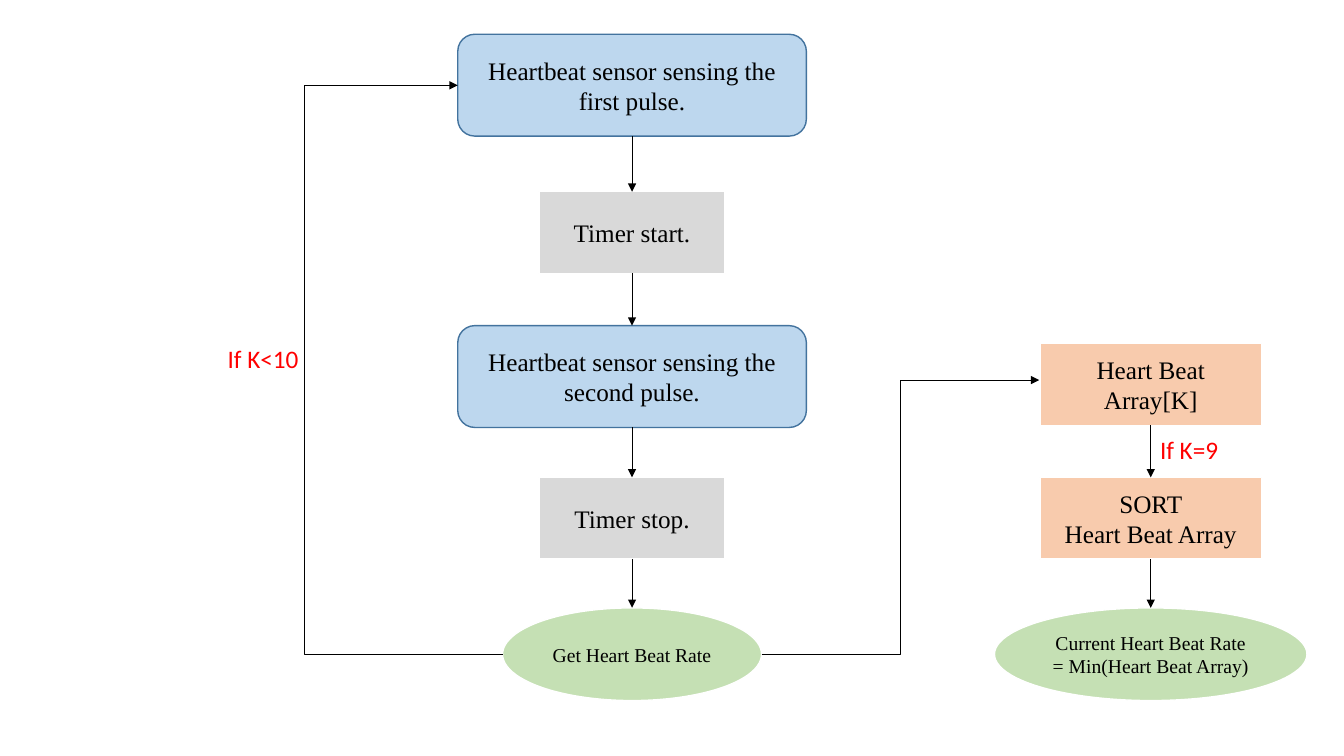
from lxml.etree import SubElement
from pptx import Presentation
from pptx.dml.color import RGBColor
from pptx.enum.shapes import MSO_CONNECTOR as Connector, MSO_SHAPE as Shape
from pptx.enum.text import MSO_ANCHOR as Anchor, PP_ALIGN as Align
from pptx.oxml.ns import qn
from pptx.util import Pt

BLACK = RGBColor(0x00, 0x00, 0x00)
WHITE = RGBColor(0xFF, 0xFF, 0xFF)
RED = RGBColor(0xFF, 0x00, 0x00)
BLUE = RGBColor(0xBD, 0xD7, 0xEE)
DARK_BLUE = RGBColor(0x43, 0x73, 0x9E)
GRAY = RGBColor(0xD9, 0xD9, 0xD9)
ORANGE = RGBColor(0xF8, 0xCB, 0xAD)
GREEN = RGBColor(0xC5, 0xE0, 0xB4)

TOP, BOTTOM = 0, 2
PULSE_X, RESULT_X = 451.5, 822


class Flowchart:
    node_font = "Times New Roman"
    label_font = "Calibri"
    text_size = 18
    small_size = 14

    def __init__(self, slide):
        self.slide = slide

    def fill_text(self, frame, lines, name, size, color, align):
        for index, line in enumerate(lines):
            paragraph = frame.add_paragraph() if index else frame.paragraphs[0]
            paragraph.text = line
            paragraph.alignment = align
            paragraph.font.name = name
            paragraph.font.size = Pt(size)
            paragraph.font.color.rgb = color

    def node(self, kind, center, top, width, height, fill, lines, size=text_size, outline=WHITE):
        shape = self.slide.shapes.add_shape(
            kind, Pt(center - width / 2), Pt(top), Pt(width), Pt(height))
        shape.shadow.inherit = False
        shape.fill.solid()
        shape.fill.fore_color.rgb = fill
        shape.line.color.rgb = outline
        shape.line.width = Pt(1)
        shape.text_frame.vertical_anchor = Anchor.MIDDLE
        shape.text_frame.word_wrap = True
        self.fill_text(shape.text_frame, lines, self.node_font, size, BLACK, Align.CENTER)
        return shape

    def sensor(self, top, text):
        return self.node(Shape.ROUNDED_RECTANGLE, PULSE_X, top, 249, 72.7, BLUE, [text],
                         outline=DARK_BLUE)

    def timer(self, top, text):
        return self.node(Shape.RECTANGLE, PULSE_X, top, 133, 58.3, GRAY, [text])

    def array(self, top, lines):
        return self.node(Shape.RECTANGLE, RESULT_X, top, 158.4, 58.3, ORANGE, lines)

    def rate(self, center, width, text):
        return self.node(Shape.OVAL, center, 434.2, width, 66.2, GREEN, [text], self.small_size)

    def label(self, left, top, width, text):
        box = self.slide.shapes.add_textbox(Pt(left), Pt(top), Pt(width), Pt(29))
        box.text_frame.word_wrap = False
        self.fill_text(box.text_frame, [text], self.label_font, self.text_size, RED, Align.LEFT)

    def connector(self, kind, begin, end):
        connector = self.slide.shapes.add_connector(kind, *(Pt(value) for value in begin + end))
        connector.line.color.rgb = BLACK
        connector.line.width = Pt(0.5)
        properties = connector._element.spPr
        SubElement(properties.find(qn("a:ln")), qn("a:tailEnd"), type="triangle")
        SubElement(properties, qn("a:effectLst"))
        return connector

    def arrow(self, upper, lower):
        connector = self.connector(Connector.STRAIGHT, (0, 0), (0, 0))
        connector.begin_connect(upper, BOTTOM)
        connector.end_connect(lower, TOP)

    def elbow(self, begin, end, bend_x):
        connector = self.connector(Connector.ELBOW, begin, end)
        ratio = (bend_x - begin[0]) / (end[0] - begin[0])
        adjustments = connector._element.spPr.find(qn("a:prstGeom")).find(qn("a:avLst"))
        SubElement(adjustments, qn("a:gd"), name="adj1", fmla=f"val {round(ratio * 100000)}")


def main():
    presentation = Presentation()
    presentation.slide_width = Pt(960)
    presentation.slide_height = Pt(540)
    chart = Flowchart(presentation.slides.add_slide(presentation.slide_layouts[6]))

    pulse_steps = [
        chart.sensor(24.5, "Heartbeat sensor sensing the first pulse."),
        chart.timer(137, "Timer start."),
        chart.sensor(232.6, "Heartbeat sensor sensing the second pulse."),
        chart.timer(341, "Timer stop."),
        chart.rate(PULSE_X, 185, "Get Heart Beat Rate"),
    ]
    result_steps = [
        chart.array(245.5, ["Heart Beat Array[K]"]),
        chart.array(341, ["SORT", "Heart Beat Array"]),
        chart.rate(RESULT_X, 223.2, "Current Heart Beat Rate = Min(Heart Beat Array)"),
    ]
    for steps in (pulse_steps, result_steps):
        for upper, lower in zip(steps, steps[1:]):
            chart.arrow(upper, lower)

    chart.elbow((359, 467.3), (327, 61), 217.5)
    chart.elbow((544, 467.3), (742.3, 271.5), 643)
    chart.label(155.5, 242, 65.5, "If K<10")
    chart.label(821.5, 306.7, 57, "If K=9")

    presentation.save("out.pptx")


if __name__ == "__main__":
    main()
